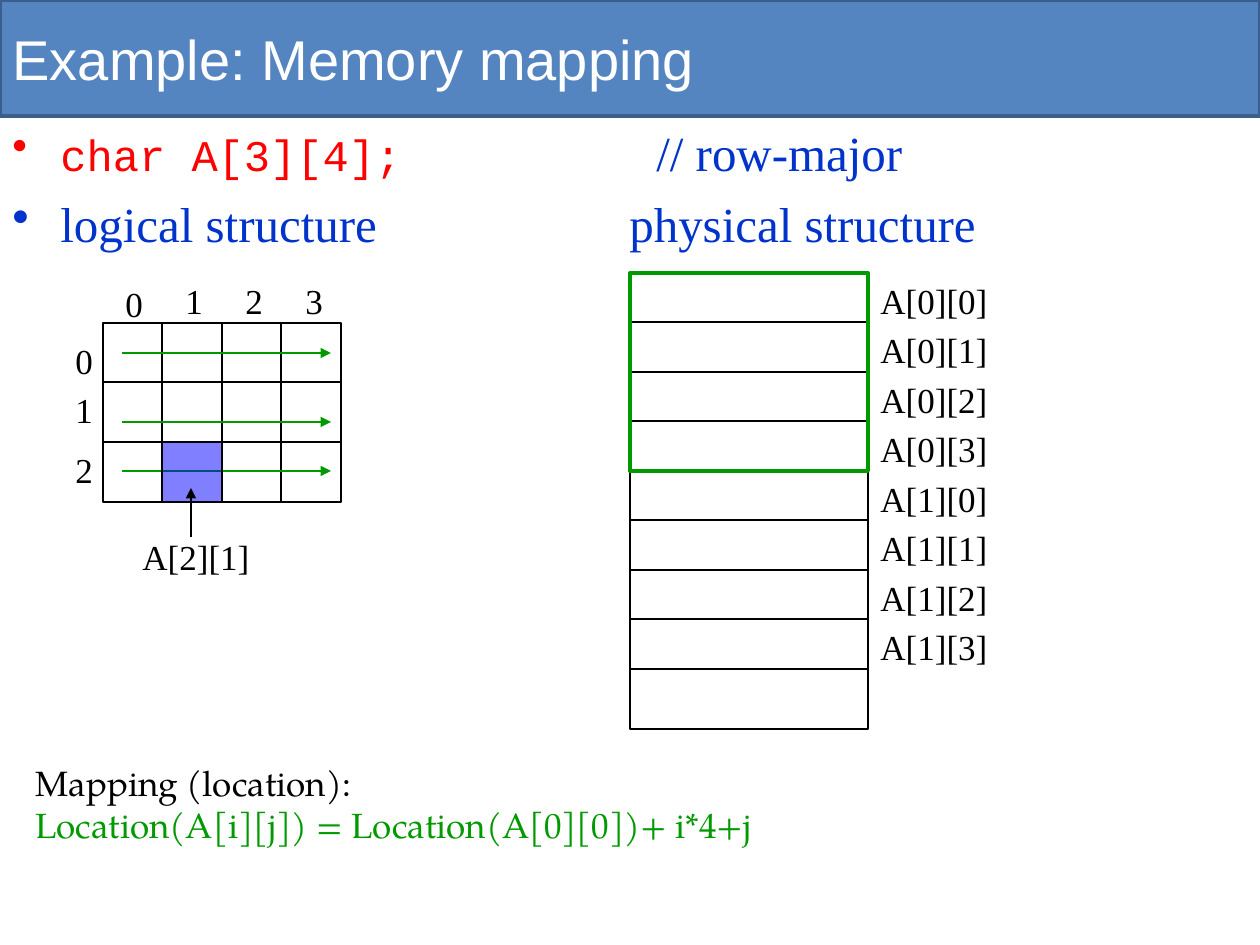
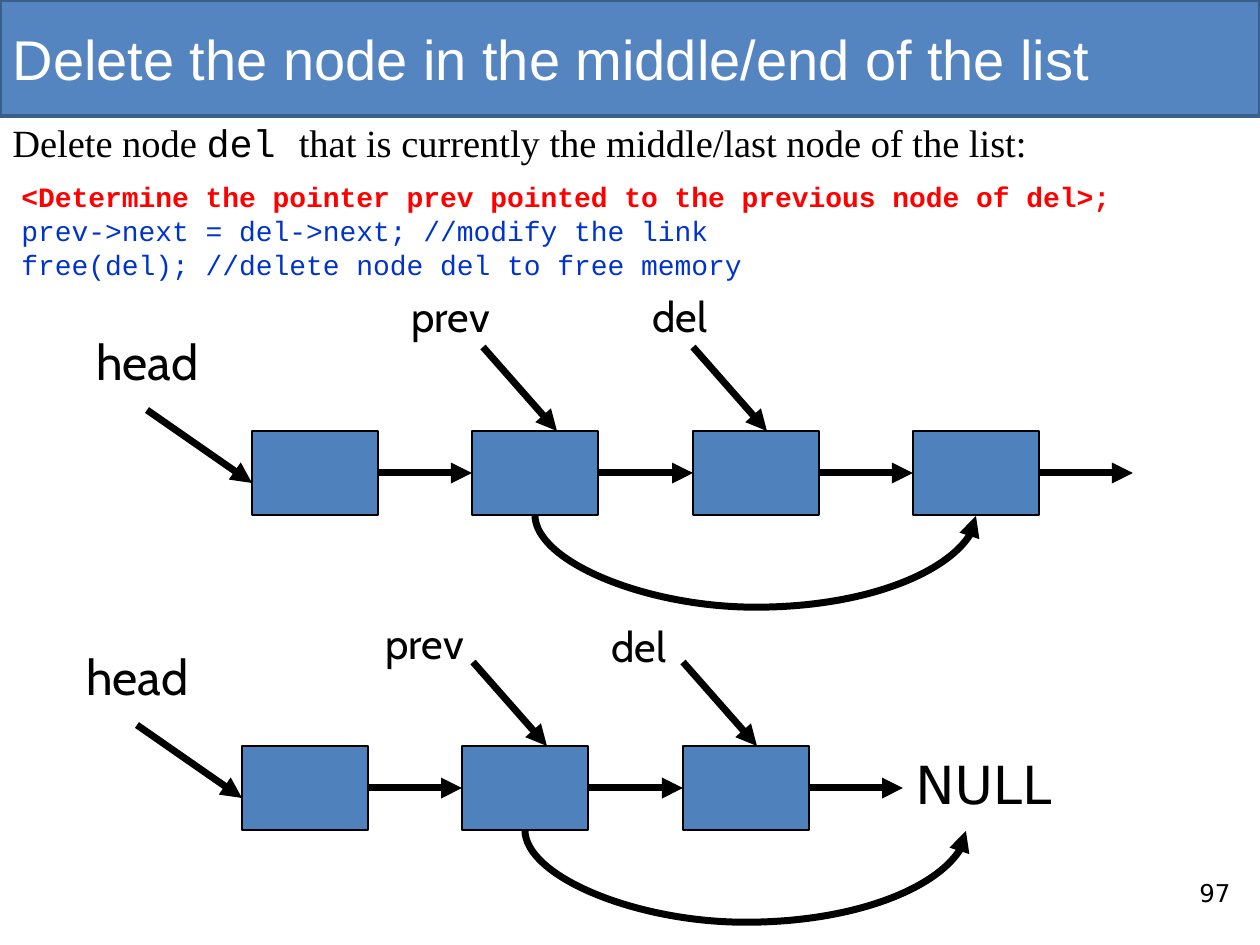
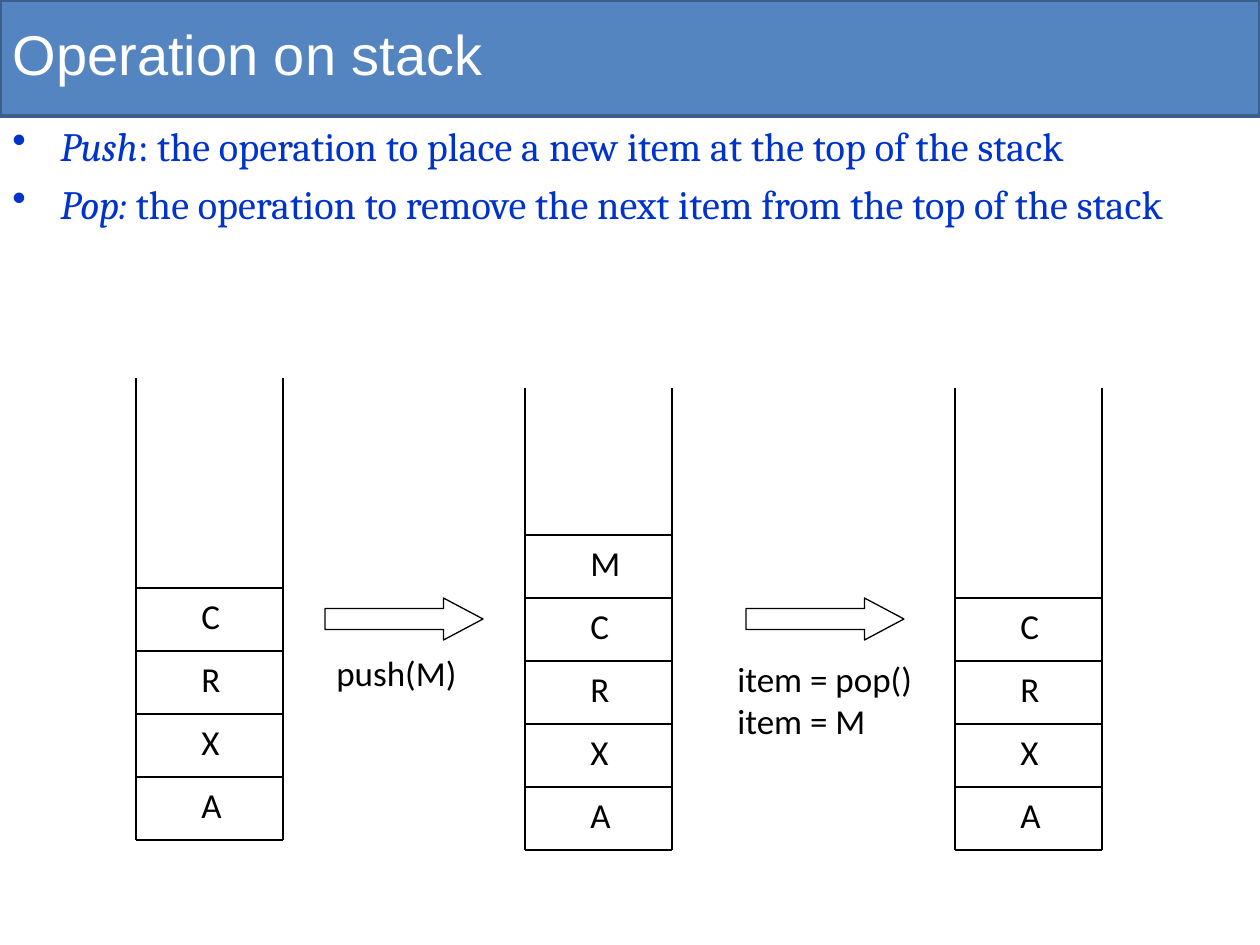
import dataclasses

import lxml.etree
import pptx
import pptx.dml.color
import pptx.enum.shapes
import pptx.enum.text
import pptx.oxml.ns
import pptx.util

COLORS = {
    "band": "5485C0",
    "band_edge": "3A5F8C",
    "white": "FFFFFF",
    "black": "000000",
    "blue": "0033CC",
    "red": "FF0000",
    "green": "009900",
    "node": "4F81BD",
    "highlight": "0000FF",
}
PX_PER_INCH = 126
SHAPES = pptx.enum.shapes.MSO_SHAPE
CONNECTORS = pptx.enum.shapes.MSO_CONNECTOR


@dataclasses.dataclass(frozen=True)
class Style:
    font: str
    size: int
    color: str = "black"
    bold: bool = False
    italic: bool = False


SERIF = Style("Times New Roman", 20)
BODY = Style("Times New Roman", 28, "blue")
PAGELLA = Style("TeX Gyre Pagella", 20)
CODE = Style("Courier New", 16, "blue")
CAMBRIA = Style("Cambria", 23, "blue")
CALIBRI = Style("Calibri", 20)
TITLE = Style("Arial", 32, "white")


def px(length):
    return pptx.util.Emu(round(length * 914400 / PX_PER_INCH))


def rgb(name):
    return pptx.dml.color.RGBColor.from_string(COLORS[name])


def add_xml(parent, tag, **attributes):
    return lxml.etree.SubElement(parent, pptx.oxml.ns.qn(tag), attributes)


def write(para, spans):
    for text, style in spans:
        span = para.add_run()
        span.text = text
        font = span.font
        font.name, font.size = style.font, pptx.util.Pt(style.size)
        font.bold, font.italic = style.bold, style.italic
        font.color.rgb = rgb(style.color)


def add_text(page, area, paragraphs, spacing=0, line_spacing=None, bullet=False, tabs=()):
    box = page.shapes.add_textbox(*map(px, area))
    frame = box.text_frame
    frame.word_wrap = True
    for index, spans in enumerate(paragraphs):
        para = frame.add_paragraph() if index else frame.paragraphs[0]
        if index and spacing:
            para.space_before = pptx.util.Pt(spacing)
        if line_spacing:
            para.line_spacing = line_spacing
        properties = para._p.get_or_add_pPr()
        if bullet:
            properties.set("marL", str(px(48)))
            properties.set("indent", str(px(-48)))
            add_xml(properties, "a:buChar", char="•")
        if tabs:
            stops = add_xml(properties, "a:tabLst")
            add_xml(stops, "a:tab", pos=str(px(tabs[index])), algn="l")
        write(para, spans)


def add_label(page, area, text, style):
    add_text(page, area, [[(text, style)]])


def add_box(page, area, fill=None, line="black", width=0.75, kind=SHAPES.RECTANGLE):
    box = page.shapes.add_shape(kind, *map(px, area))
    box.shadow.inherit = False
    if fill:
        box.fill.solid()
        box.fill.fore_color.rgb = rgb(fill)
    else:
        box.fill.background()
    box.line.color.rgb = rgb(line)
    box.line.width = pptx.util.Pt(width)
    return box


def add_line(page, start, end, color="black", width=0.75, arrow=False, kind=CONNECTORS.STRAIGHT):
    line = page.shapes.add_connector(kind, *map(px, (*start, *end)))
    line.line.color.rgb = rgb(color)
    line.line.width = pptx.util.Pt(width)
    if arrow:
        add_xml(line.line._get_or_add_ln(), "a:tailEnd", type="triangle")
    add_xml(line.element.spPr, "a:effectLst")
    return line


def add_thick_arrow(page, start, end):
    return add_line(page, start, end, width=4, arrow=True)


def add_hanging_curve(page, left, top, span, depth):
    middle, rise = left + span // 2, span // 2
    curve = add_line(page, (middle, top - rise), (middle + 1, top - rise + span),
                     width=4, arrow=True, kind=CONNECTORS.CURVE)
    properties = curve.element.spPr
    frame = properties.find(pptx.oxml.ns.qn("a:xfrm"))
    frame.set("rot", "16200000")
    frame.set("flipH", "1")
    guides = properties.find(".//" + pptx.oxml.ns.qn("a:avLst"))
    add_xml(guides, "a:gd", name="adj1", fmla=f"val {depth * 100000}")


def add_page(deck, text, title_area):
    page = deck.slides.add_slide(deck.slide_layouts[5])
    title = page.shapes.title
    band = add_box(page, (0, 0, 1260, 116), "band", "band_edge", 2)
    title.element.addprevious(band.element)
    title.left, title.top, title.width, title.height = map(px, title_area)
    frame = title.text_frame
    frame.auto_size = pptx.enum.text.MSO_AUTO_SIZE.NONE
    frame.vertical_anchor = pptx.enum.text.MSO_ANCHOR.MIDDLE
    para = frame.paragraphs[0]
    para.alignment = pptx.enum.text.PP_ALIGN.LEFT
    write(para, [(text, TITLE)])
    return page


def draw_logical_grid(page, left, top, width, height):
    columns, rows = 4, 3
    grid = add_box(page, (left, top, width, height))
    for row in range(1, rows):
        y = top + height * row // rows
        add_line(page, (left, y), (left + width, y))
    for column in range(1, columns):
        x = left + width * column // columns
        divider = add_line(page, (x, top), (x, top + height))
        if column * 2 == columns:
            divider.begin_connect(grid, 0)
            divider.end_connect(grid, 2)
    for column in range(columns):
        y = top - (50 if column else 47)
        add_label(page, (left + 10 + 60 * column, y, 50, 55), str(column), SERIF)
    for row, (label_drop, arrow_drop) in enumerate(((10, 30), (59, 99), (119, 148))):
        add_label(page, (left - 40, top + label_drop, 50, 55), str(row), SERIF)
        y = top + arrow_drop
        add_line(page, (left + 19, y), (left + 228, y), "green", arrow=True)

    cell = add_box(page, (left + 59, top + 119, 60, 60), "highlight")
    color = cell.fill._xPr.find(".//" + pptx.oxml.ns.qn("a:srgbClr"))
    add_xml(color, "a:alpha", val="50000")
    add_line(page, (left + 88, top + 214), (left + 88, top + 165), arrow=True)
    add_label(page, (left + 27, top + 206, 140, 55), "A[2][1]", SERIF)


def draw_memory(page, left, top, width, height):
    columns, row_height = 4, 198
    add_box(page, (left, top, width, height))
    for cell in range(2 * columns):
        y = top + row_height * cell // columns
        bottom = top + row_height * (cell + 1) // columns
        add_line(page, (left, bottom), (left + width, bottom))
        row, column = divmod(cell, columns)
        add_label(page, (left + width, y, 140, 55), f"A[{row}][{column}]", SERIF)
    add_box(page, (left, top, width, row_height), line="green", width=2.25)


def build_mapping(deck):
    page = add_page(deck, "Example: Memory mapping", (0, 0, 1260, 116))
    declaration = Style("Courier New", 25, "red")
    add_text(page, (0, 116, 1196, 753), [
        [("char A[3][4];", declaration), ("\t// row-major", BODY)],
        [("logical structure\tphysical structure", BODY)],
    ], spacing=7, bullet=True, tabs=(644, 617))
    draw_logical_grid(page, 103, 323, 238, 179)
    draw_memory(page, 630, 273, 238, 456)
    add_text(page, (23, 755, 805, 97), [
        [("Mapping (location):", PAGELLA)],
        [("Location(A[i][j]) = Location(A[0][0])+ i*4+j",
          dataclasses.replace(PAGELLA, color="green"))],
    ])


def draw_linked_list(page, left, top, count, prev_at, del_at):
    width, height, pitch = 126, 84, 441
    nodes = [add_box(page, (left + pitch * index // 2, top, width, height), "node")
             for index in range(count)]
    for index, node in enumerate(nodes):
        x, y = left + pitch * index // 2 + width, top + height // 2
        link = add_thick_arrow(page, (x, y), (x + 94, y))
        link.begin_connect(node, 3)
        if index + 1 < count:
            link.end_connect(nodes[index + 1], 1)
    add_thick_arrow(page, (left - 105, top - 21), (left, top + 52))
    add_label(page, (left - 168, top - 106, 189, 72), "head", Style("Cabin", 28))
    for text, start, (x, y) in (("prev", 231, prev_at), ("del", 441, del_at)):
        add_thick_arrow(page, (left + start, top - 84), (left + start + 74, top))
        add_label(page, (left + x, top + y, 194, 63), text, Style("Cabin", 24))
    add_hanging_curve(page, left + 283, top + height, pitch, 93)


def build_deletion(deck):
    page = add_page(deck, "Delete the node in the middle/end of the list", (0, 0, 1246, 116))
    intro = Style("Times New Roman", 22)
    add_text(page, (0, 113, 1260, 59), [[
        ("Delete node ", intro),
        ("del ", Style("Courier New", 22)),
        ("that is currently the middle/last node of the list:", intro),
    ]])
    add_text(page, (9, 180, 1239, 112), [
        [("<Determine the pointer prev pointed to the previous node of del>;",
          dataclasses.replace(CODE, color="red", bold=True))],
        [("prev->next = del->next; //modify the link", CODE)],
        [("free(del); //delete node del to free memory", CODE)],
    ], spacing=4, line_spacing=0.8)
    draw_linked_list(page, 252, 431, 4, (147, -147), (388, -147))
    draw_linked_list(page, 242, 746, 3, (131, -135), (357, -132))
    add_label(page, (903, 746, 215, 77), "NULL", Style("DejaVu Sans", 30))
    add_label(page, (1187, 872, 63, 50), "97", Style("DejaVu Sans", 14))


def draw_stack(page, left, top, items):
    width, height, cell = 147, 462, 63
    right, bottom = left + width, top + height
    for x in (left, right):
        add_line(page, (x, top), (x, bottom))
    add_line(page, (left, bottom), (right, bottom))
    for index, item in enumerate(items, 1):
        y = bottom - cell * index
        add_line(page, (left, y), (right, y))
        add_label(page, (left + 53, y, width - 53, 55), item, CALIBRI)


def draw_operation(page, left, top, text_offset, lines):
    arrow = add_box(page, (left, top, 158, 42), kind=SHAPES.RIGHT_ARROW)
    arrow.adjustments[0], arrow.adjustments[1] = 0.5, 0.94
    x, y = text_offset
    add_text(page, (left + x, top + y, 215, 42 * len(lines) + 13),
             [[(line, CALIBRI)] for line in lines])


def build_stack(deck):
    page = add_page(deck, "Operation on stack", (0, -10, 1166, 126))
    term = dataclasses.replace(CAMBRIA, italic=True)
    add_text(page, (0, 115, 1260, 714), [
        [("Push", term), (": the operation to place a new item at the top of the stack", CAMBRIA)],
        [("Pop: ", term),
         ("the operation to remove the next item from the top of the stack", CAMBRIA)],
    ], spacing=5.6, bullet=True)
    draw_stack(page, 136, 378, "AXRC")
    draw_operation(page, 325, 598, (-1, 47), ["push(M)"])
    draw_stack(page, 525, 388, "AXRCM")
    draw_operation(page, 746, 598, (-21, 53), ["item = pop()", "item = M"])
    draw_stack(page, 955, 388, "AXRC")


def main():
    deck = pptx.Presentation()
    deck.slide_width, deck.slide_height = px(1260), px(945)
    build_mapping(deck)
    build_deletion(deck)
    build_stack(deck)
    deck.save("out.pptx")


if __name__ == "__main__":
    main()
